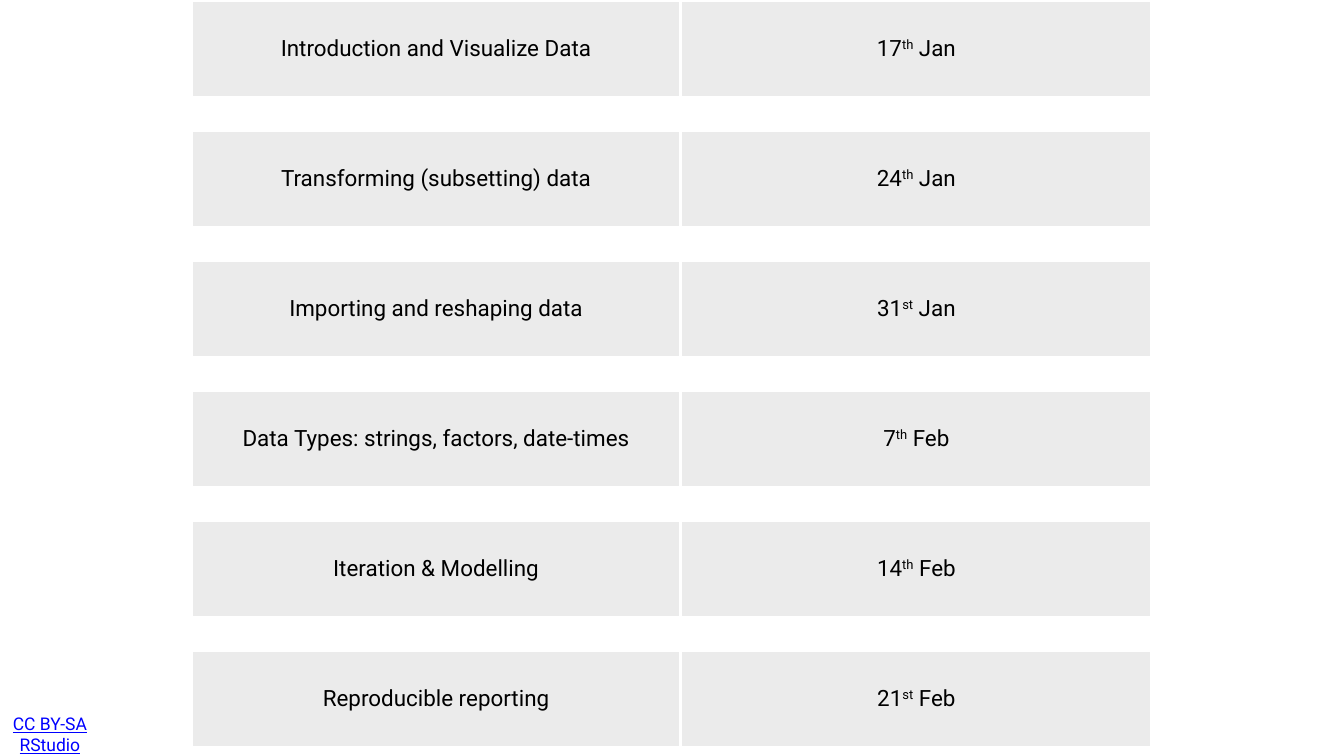
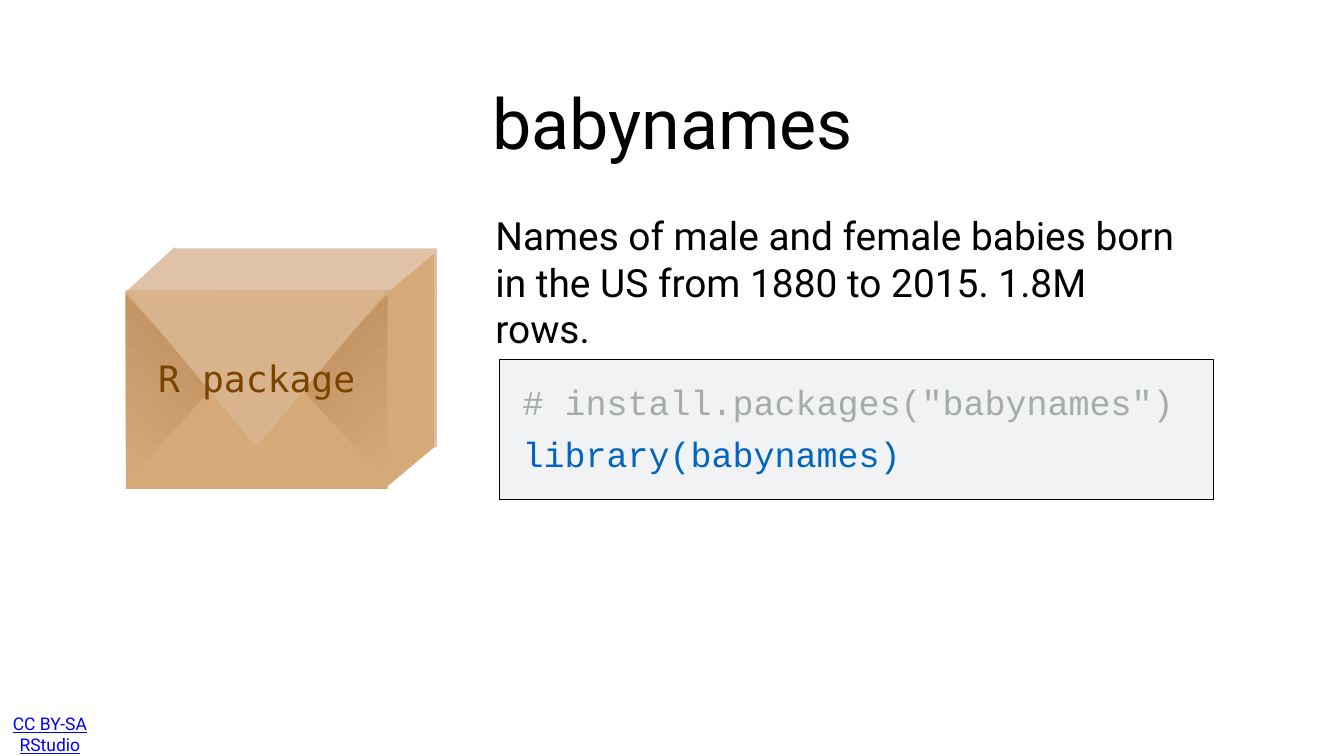
from lxml.etree import SubElement
from pptx import Presentation
from pptx.dml.color import RGBColor
from pptx.enum.shapes import MSO_SHAPE as Kind
from pptx.enum.text import MSO_ANCHOR as Anchor, MSO_AUTO_SIZE as Auto, PP_ALIGN as Align
from pptx.oxml.ns import qn
from pptx.util import Inches, Pt

BLACK, WHITE, GREY = "000000", "FFFFFF", "EBEBEB"
TAN, PALE, FOLD, SHADE = "D6A979", "E0C2A6", "D9B38C", "BD8E5E"
SANS = "Roboto"


def tint(hue):
    return RGBColor.from_string(hue)


def style(frame, size, hue=BLACK, face=SANS, align=Align.CENTER, pad=0.06):
    frame.word_wrap = True
    frame.auto_size = Auto.NONE
    frame.margin_left = frame.margin_right = Inches(pad)
    frame.margin_top = frame.margin_bottom = Inches(pad)
    frame.vertical_anchor = Anchor.MIDDLE
    for para in frame.paragraphs:
        para.alignment = align
        for run in para.runs:
            run.font.size = Pt(size)
            run.font.name = face
            run.font.color.rgb = tint(hue)


deck = Presentation()
deck.slide_width, deck.slide_height = Inches(26.67), Inches(15)
plan = deck.slides.add_slide(deck.slide_layouts[6])
names = deck.slides.add_slide(deck.slide_layouts[5])

for slide in (plan, names):
    foot = slide.shapes.add_textbox(Inches(0.12), Inches(14.26), Inches(2.66), Inches(0.6))
    frame = foot.text_frame
    frame.text = "CC BY-SA RStudio"
    style(frame, 25, "0000FF", pad=0.08)
    frame.margin_right = Inches(1)
    frame.paragraphs[0].runs[0].font.underline = True

topics = [
    ("Introduction and Visualize Data", "17", "th", " Jan"),
    ("Transforming (subsetting) data", "24", "th", " Jan"),
    ("Importing and reshaping data", "31", "st", " Jan"),
    ("Data Types: strings, factors, date-times", "7", "th", " Feb"),
    ("Iteration & Modelling", "14", "th", " Feb"),
    ("Reproducible reporting", "21", "st", " Feb"),
]
count = 2 * len(topics) - 1
table = plan.shapes.add_table(
    count, 2, Inches(3.8), 0, Inches(19.06), Inches(14.86)).table
table.first_row = table.horz_banding = False
table.columns[0].width, table.columns[1].width = Inches(9.71), Inches(9.35)
for i, row in enumerate(table.rows):
    gap = i % 2 == 1
    row.height = Inches(0.64 if gap else 1.94)
    for j, cell in enumerate(row.cells):
        cell.margin_left = cell.margin_right = Inches(0.06)
        cell.margin_top = cell.margin_bottom = Inches(0.06)
        cell.vertical_anchor = Anchor.MIDDLE
        props = cell._tc.get_or_add_tcPr()
        for side in ("a:lnL", "a:lnR", "a:lnT", "a:lnB"):
            line = SubElement(props, qn(side), w=str(Pt(5)))
            fill = SubElement(line, qn("a:solidFill"))
            SubElement(fill, qn("a:srgbClr"), val=WHITE)
        cell.fill.solid()
        cell.fill.fore_color.rgb = tint(WHITE if gap else GREY)
        if gap:
            continue
        topic, *date = topics[i // 2]
        para = cell.text_frame.paragraphs[0]
        for part in date if j else [topic]:
            run = para.add_run()
            run.text = part
            run.font.size = Pt(32)
            run.font.name = SANS
            run.font.color.rgb = tint(BLACK)
            if part in ("th", "st"):
                run.font._element.set("baseline", "30000")
        para.alignment = Align.CENTER

title = names.shapes.title
title.left, title.top = Inches(4.4), Inches(1.1)
title.width, title.height = Inches(17.9), Inches(2.62)
title.text_frame.text = "babynames"
style(title.text_frame, 100)

body = names.shapes.add_textbox(Inches(9.77), Inches(4.41), Inches(13.68), Inches(2.36))
body.text_frame.text = "Names of male and female babies born in the US from 1880 to 2015. 1.8M rows."
style(body.text_frame, 55.5, align=Align.LEFT)

panel = names.shapes.add_shape(
    Kind.RECTANGLE, Inches(9.91), Inches(7.12), Inches(14.17), Inches(2.79))
panel.shadow.inherit = False
panel.fill.solid()
panel.fill.fore_color.rgb = tint("F0F2F4")
panel.line.color.rgb = tint(BLACK)
panel.line.width = Pt(1)

code = names.shapes.add_textbox(Inches(10.31), Inches(7.48), Inches(14.52), Inches(2.22))
frame = code.text_frame
frame.text = '# install.packages("babynames")\nlibrary(babynames)'
style(frame, 50, "A6AAA9", "Courier New", Align.LEFT)
frame.vertical_anchor = Anchor.TOP
call = frame.paragraphs[1]
call.space_before = Pt(15)
call.runs[0].font.color.rgb = tint("0365C0")

box = names.shapes.add_group_shape().shapes
parts = [
    ("rect", (3.48, 4.93, 5.19, 3.94), PALE, 0),
    ("rect", (3.43, 5.76, 5.19, 3.11), TAN, 0),
    ("rect", (2.73, 5.19, 1.35, 1.3), PALE, 317.5),
    ("free", [(7.63, 8.87), (8.62, 8.87), (7.63, 9.7)], TAN, None),
    ("rect", (2.5, 5.76, 5.19, 3.94), TAN, 0),
    ("free", [(7.68, 5.86), (7.68, 9.54), (5.97, 7.7)], TAN, 130),
    ("free", [(2.5, 5.86), (2.5, 9.54), (4.21, 7.7)], TAN, 50),
    ("free", [(2.5, 5.76), (7.68, 5.76), (5.09, 8.87)], FOLD, None),
    ("free", [(8.62, 5.86), (7.63, 5.86), (8.62, 5.03)], TAN, None),
]
for kind, spots, hue, turn in parts:
    if kind == "rect":
        face = box.add_shape(Kind.RECTANGLE, *map(Inches, spots))
        face.rotation = turn
    else:
        dots = [(Inches(x), Inches(y)) for x, y in spots]
        pen = box.build_freeform(*dots[0])
        pen.add_line_segments(dots[1:])
        face = pen.convert_to_shape()
    face.shadow.inherit = False
    face.line.fill.background()
    if kind == "free" and turn:
        face.fill.gradient()
        face.fill.gradient_angle = turn
        for stop, tone in zip(face.fill.gradient_stops, (hue, SHADE)):
            stop.color.rgb = tint(tone)
    else:
        face.fill.solid()
        face.fill.fore_color.rgb = tint(hue)

label = box.add_textbox(Inches(2.09), Inches(5.28), Inches(6.01), Inches(4.42))
label.text_frame.text = "R package"
style(label.text_frame, 52, "7A4300", "DejaVu Sans Mono", pad=0.08)

deck.save("out.pptx")
